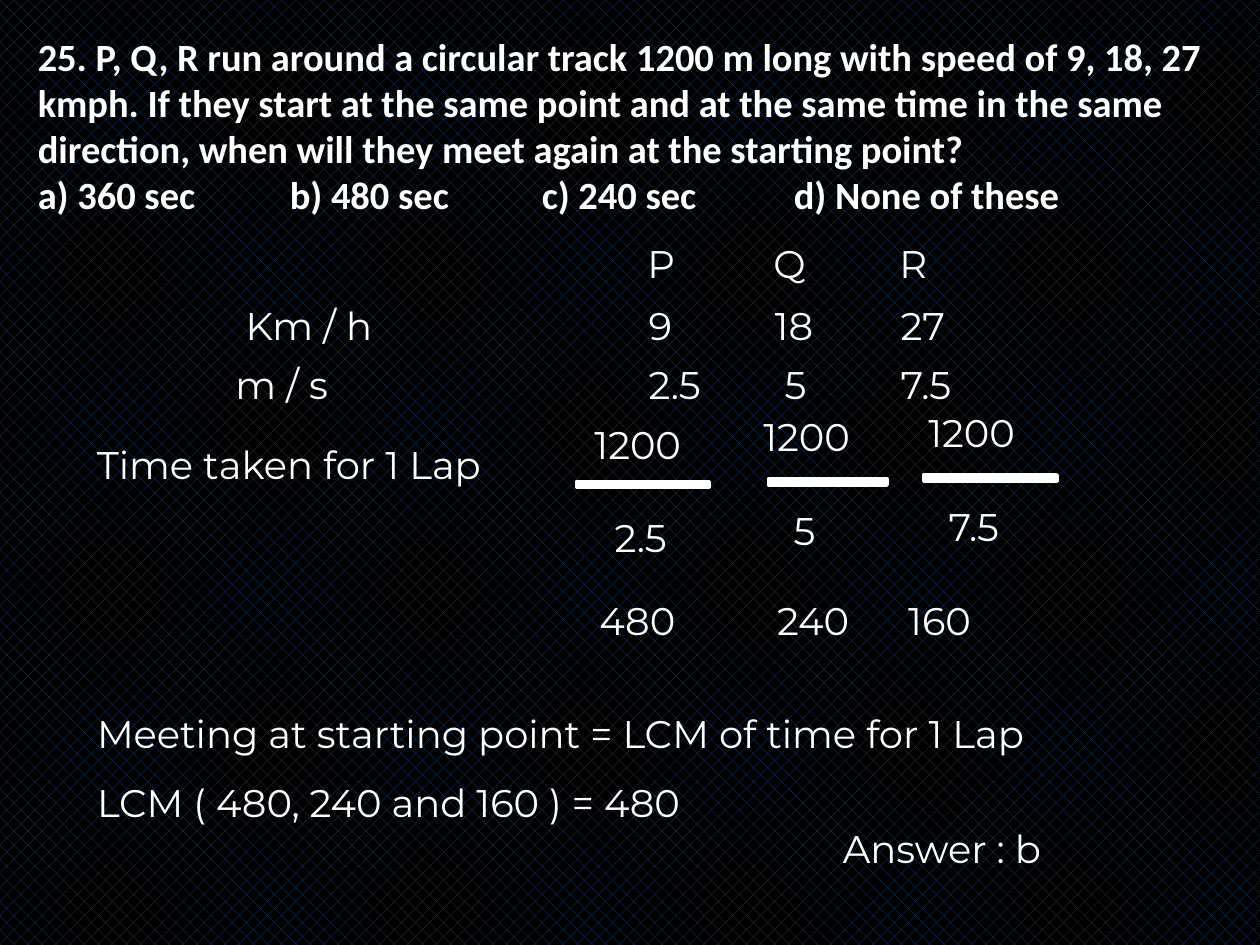
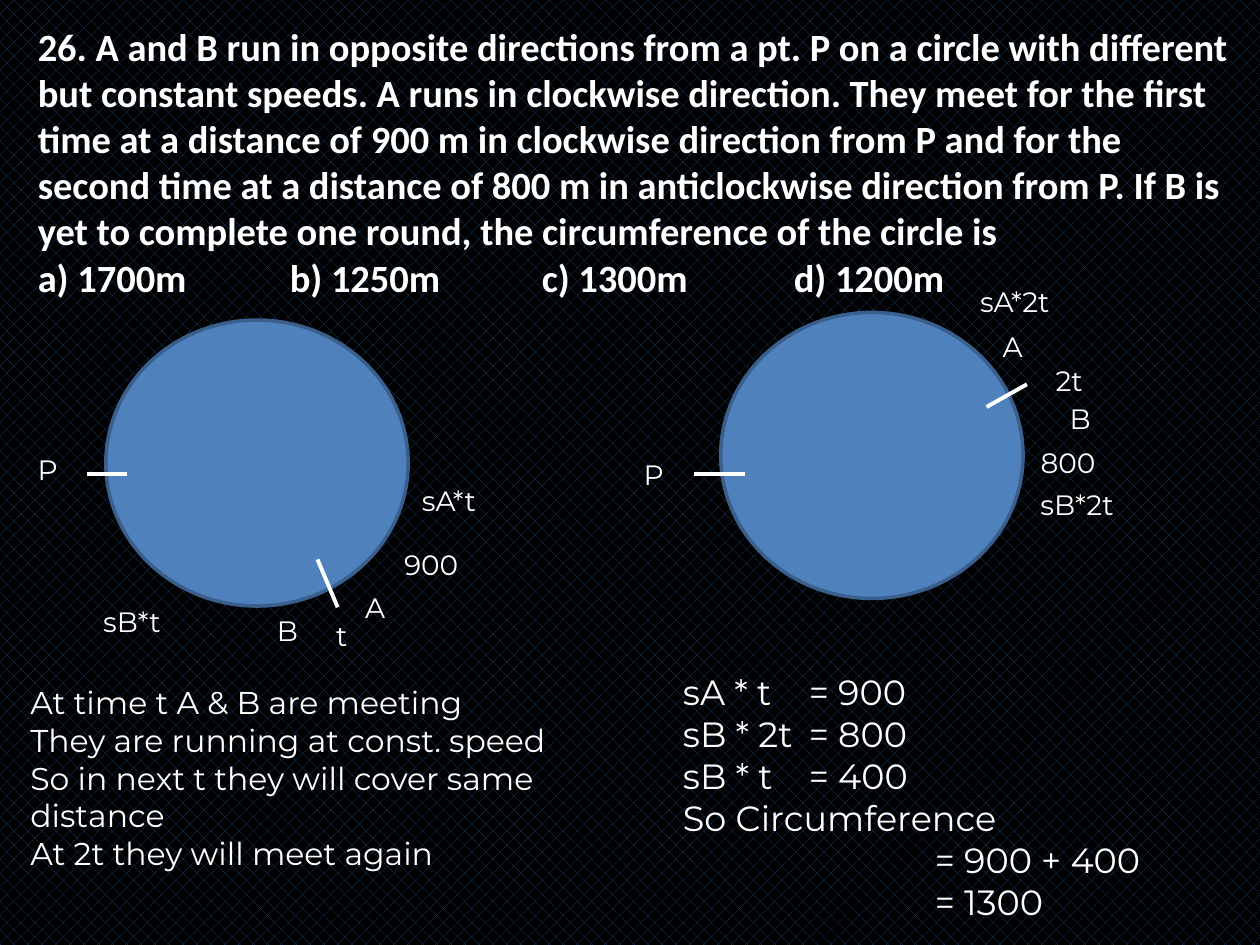
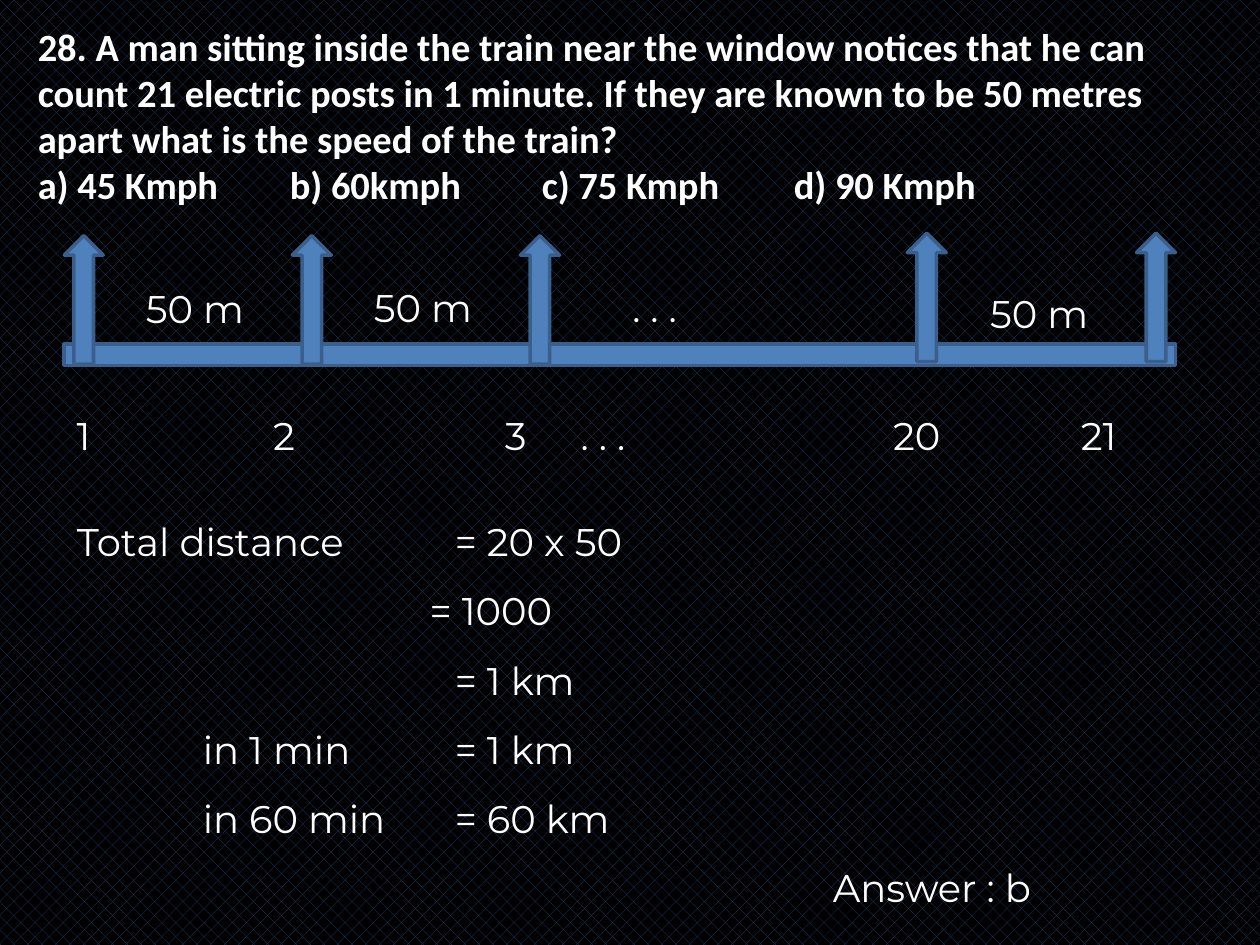
from lxml.etree import SubElement
from pptx import Presentation
from pptx.dml.color import RGBColor
from pptx.enum.dml import MSO_PATTERN
from pptx.enum.shapes import MSO_CONNECTOR, MSO_SHAPE
from pptx.enum.text import MSO_ANCHOR, MSO_AUTO_SIZE, PP_ALIGN
from pptx.oxml.ns import qn
from pptx.util import Inches, Pt

WHITE, BLACK, NAVY, BLUE, STEEL = "FFFFFF", "000000", "1F497D", "4F81BD", "3A5F8C"
color = RGBColor.from_string

presentation = Presentation()
presentation.slide_width, presentation.slide_height = Inches(10), Inches(7.5)
column = presentation.slide_width // 10


def grid(*cells):
    return [int(cell * column) for cell in cells]


def write(shape, lines, size=22, font="Montserrat", bold=False, spacing=1, gap=0):
    frame = shape.text_frame
    frame.word_wrap = True
    frame.auto_size = MSO_AUTO_SIZE.SHAPE_TO_FIT_TEXT
    frame.vertical_anchor = MSO_ANCHOR.TOP
    for index, line in enumerate(lines):
        text, indent = (*line, 0)[:2]
        paragraph = frame.add_paragraph() if index else frame.paragraphs[0]
        properties = paragraph._p.get_or_add_pPr()
        properties.set("marL", str(int(indent * column)))
        properties.set("indent", "0")
        properties.set("defTabSz", str(column))
        SubElement(properties, qn("a:buNone"))
        paragraph.alignment = PP_ALIGN.LEFT
        paragraph.line_spacing = spacing
        paragraph.space_before = Pt(gap if index else 0)
        run = paragraph.add_run()
        run.text = text
        run.font.size, run.font.name, run.font.bold = Pt(size), font, bold
        run.font.color.rgb = color(WHITE)


for root in (presentation.element, presentation.slide_master.element):
    for element in root.iter("*"):
        if element.get("defTabSz"):
            element.set("defTabSz", str(column))

background = presentation.slide_master.background.fill
background.patterned()
background.pattern = MSO_PATTERN.PERCENT_25
background.fore_color.rgb = color(NAVY)
background.back_color.rgb = color(BLACK)

questions = [
    (1, (0.2, 0.21, 9.61, 1.58),
     "25. P, Q, R run around a circular track 1200 m long with speed of 9, 18, 27 kmph. "
     "If they start at the same point and at the same time in the same direction, "
     "when will they meet again at the starting point?",
     "a) 360 sec\tb) 480 sec\tc) 240 sec\td) None of these"),
    (3, (0.2, 0.13, 9.69, 2.32),
     "26. A and B run in opposite directions from a pt. P on a circle with different but "
     "constant speeds. A runs in clockwise direction. They meet for the first time at a "
     "distance of 900 m in clockwise direction from P and for the second time at a distance "
     "of 800 m in anticlockwise direction from P. If B is yet to complete one round, the "
     "circumference of the circle is",
     "a) 1700m\tb) 1250m\tc) 1300m\td) 1200m"),
    (1, (0.2, 0.13, 9.69, 1.58),
     "28. A man sitting inside the train near the window notices that he can count 21 "
     "electric posts in 1 minute. If they are known to be 50 metres apart what is the "
     "speed of the train?",
     "a) 45 Kmph\tb) 60kmph\tc) 75 Kmph\td) 90 Kmph"),
]
for layout, box, question, options in questions:
    slide = presentation.slides.add_slide(presentation.slide_layouts[layout])
    title = slide.shapes.title
    title.left, title.top, title.width, title.height = grid(*box)
    write(title, [(question,), (options,)], font="Calibri", bold=True)
laps, circles, posts = presentation.slides

blocks = [
    (laps, MSO_SHAPE.RECTANGLE, (4.58, 3.82, 1.05, 0.05), WHITE, WHITE),
    (laps, MSO_SHAPE.RECTANGLE, (6.1, 3.8, 0.94, 0.05), WHITE, WHITE),
    (laps, MSO_SHAPE.RECTANGLE, (7.33, 3.77, 1.06, 0.05), WHITE, WHITE),
    (circles, MSO_SHAPE.OVAL, (0.84, 2.54, 2.4, 2.27), BLUE, STEEL),
    (circles, MSO_SHAPE.OVAL, (5.72, 2.48, 2.4, 2.27), BLUE, STEEL),
    (posts, MSO_SHAPE.RECTANGLE, (0.51, 2.73, 8.82, 0.17), BLUE, STEEL),
]
for left, top in [(0.51, 1.87), (2.32, 1.87), (4.13, 1.87), (7.2, 1.85), (9.02, 1.85)]:
    blocks.append((posts, MSO_SHAPE.UP_ARROW, (left, top, 0.31, 1.02), BLUE, STEEL))
for slide, preset, box, fill, outline in blocks:
    shape = slide.shapes.add_shape(preset, *grid(*box))
    shape.shadow.inherit = False
    shape.fill.solid()
    shape.fill.fore_color.rgb = color(fill)
    shape.line.color.rgb = color(outline)
    shape.line.width = Pt(2)

for ends in [(0.69, 3.76, 1.01, 3.76), (2.52, 4.44, 2.68, 4.82),
             (5.51, 3.76, 5.91, 3.76), (7.83, 3.23, 8.15, 3.05)]:
    mark = circles.shapes.add_connector(MSO_CONNECTOR.STRAIGHT, *grid(*ends))
    mark.line.color.rgb = color(WHITE)
    mark.line.width = Pt(2.25)
    SubElement(mark._element.spPr, qn("a:effectLst"))

lap_rows = [
    (5.04, 1.86, 2.72, "P\tQ\tR"),
    (1.85, 2.35, 2.72, "Km / h"),
    (5.05, 2.35, 2.72, "9\t18\t27"),
    (1.77, 2.82, 2.72, "m / s"),
    (5.05, 2.82, 2.72, "2.5\t 5\t7.5"),
    (0.67, 3.45, 4.25, "Time taken for 1 Lap"),
    (4.66, 4.69, 1, "480"),
    (6.07, 4.69, 1, "240"),
    (7.11, 4.69, 1, "160"),
]
for left, top, width, text in lap_rows:
    write(laps.shapes.add_textbox(*grid(left, top, width, 0.47)), [(text,)])

for left, top, indent, speed in [(4.62, 3.29, 0.16, "2.5"), (5.96, 3.23, 0.24, "5"),
                                 (7.27, 3.2, 0.16, "7.5")]:
    fraction = laps.shapes.add_textbox(*grid(left, top, 1.4, 1.21))
    write(fraction, [("1200",), (speed, indent)], gap=27)

circle_labels = [
    (0.2, 3.54, "P"), (0.72, 4.75, "sB*t"), (2.8, 4.64, "A"), (2.57, 4.86, "t"),
    (2.1, 4.82, "B"), (3.11, 4.3, "900"), (3.25, 3.79, "sA*t"),
    (5.01, 3.58, "P"), (8.39, 3.14, "B"), (7.86, 2.57, "A"), (8.28, 2.84, "2t"),
    (8.16, 3.49, "800"), (7.68, 2.21, "sA*2t"), (8.16, 3.82, "sB*2t"),
]
for left, top, label in circle_labels:
    width = 0.37 + 0.16 * len(label)
    write(circles.shapes.add_textbox(*grid(left, top, width, 0.37)), [(label,)], size=16)

post_labels = [(1.06, 2.03, "50 m"), (2.87, 2.02, "50 m"), (7.76, 2.07, "50 m"),
               (4.92, 2.02, ". . .")]
for left, number in [(0.51, "1"), (2.07, "2"), (3.91, "3"), (4.51, ". . ."),
                     (6.99, "20"), (8.48, "21")]:
    post_labels.append((left, 3.04, number))
for left, top, label in post_labels:
    write(posts.shapes.add_textbox(*grid(left, top, 1.04, 0.66)), [(label,)], spacing=1.5)

solutions = [
    (laps, 1, (0.67, 5.4, 8.9, 1.58), 22, 1.5, [
        ("Meeting at starting point = LCM of time for 1 Lap",),
        ("LCM ( 480, 240 and 160 ) = 480",),
        ("Answer : b", 5.92)]),
    (circles, 1, (0.14, 5.37, 5.08, 1.62), 18, 1, [
        ("At time t A & B are meeting",),
        ("They are running at const. speed",),
        ("So in next t they will cover same distance",),
        ("At 2t they will meet again",)]),
    (circles, 2, (5.32, 5.27, 4.41, 2.12), 20, 1, [
        ("sA * t\t= 900",),
        ("sB * 2t\t= 800",),
        ("sB * t\t= 400",),
        ("So Circumference",),
        ("= 900 + 400", 2),
        ("= 1300", 2)]),
    (posts, 1, (0.51, 3.88, 9.37, 3.43), 22, 1.5, [
        ("Total distance\t= 20 x 50",),
        ("= 1000", 2.8),
        ("= 1 km", 3),
        ("\tin 1 min\t= 1 km",),
        ("\tin 60 min\t= 60 km",),
        ("Answer : b", 6)]),
]
for slide, number, box, size, spacing, lines in solutions:
    body = slide.placeholders[number]
    body.left, body.top, body.width, body.height = grid(*box)
    write(body, lines, size=size, spacing=spacing)
laps.placeholders[1].text_frame.paragraphs[-1].line_spacing = 1

presentation.save("out.pptx")
